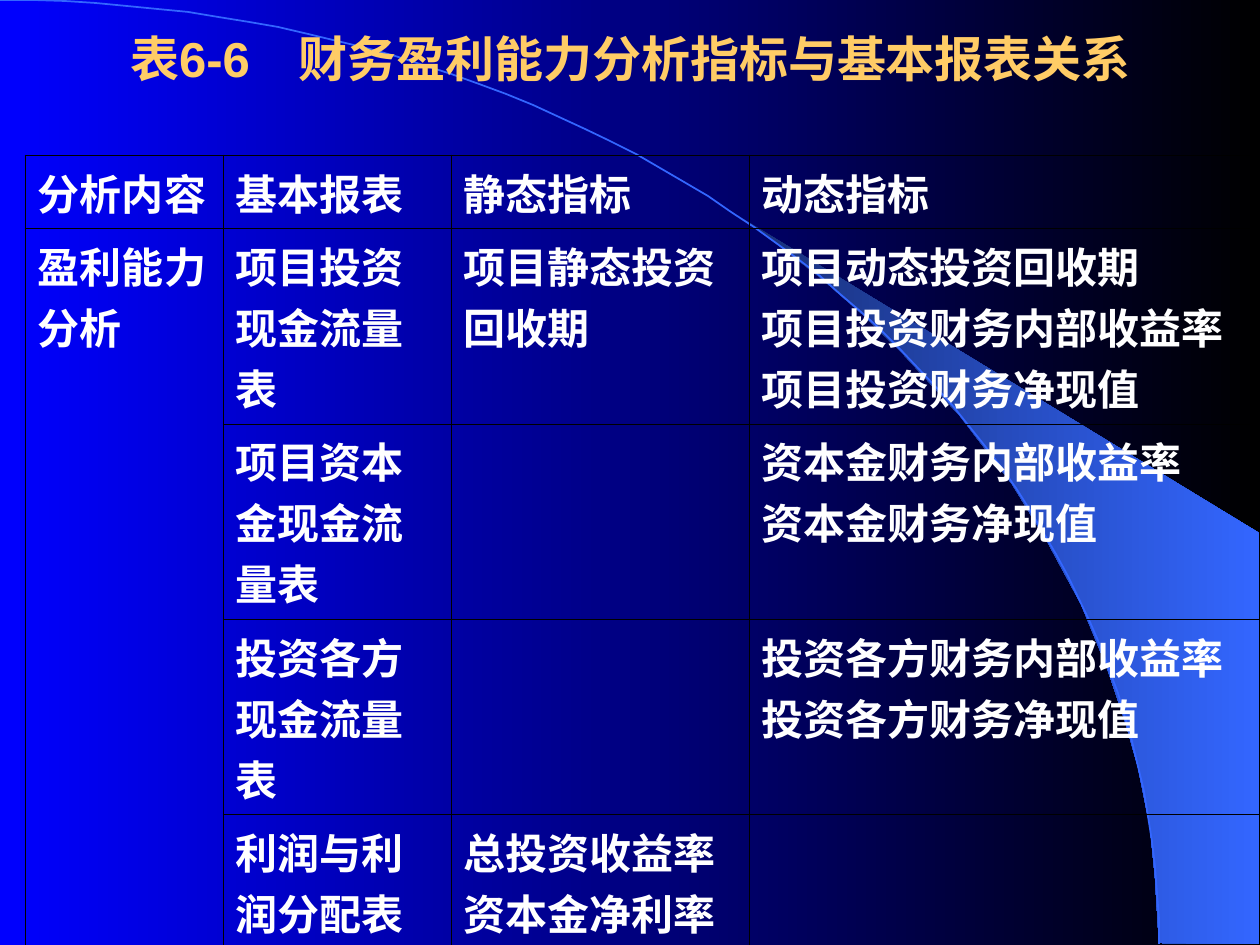
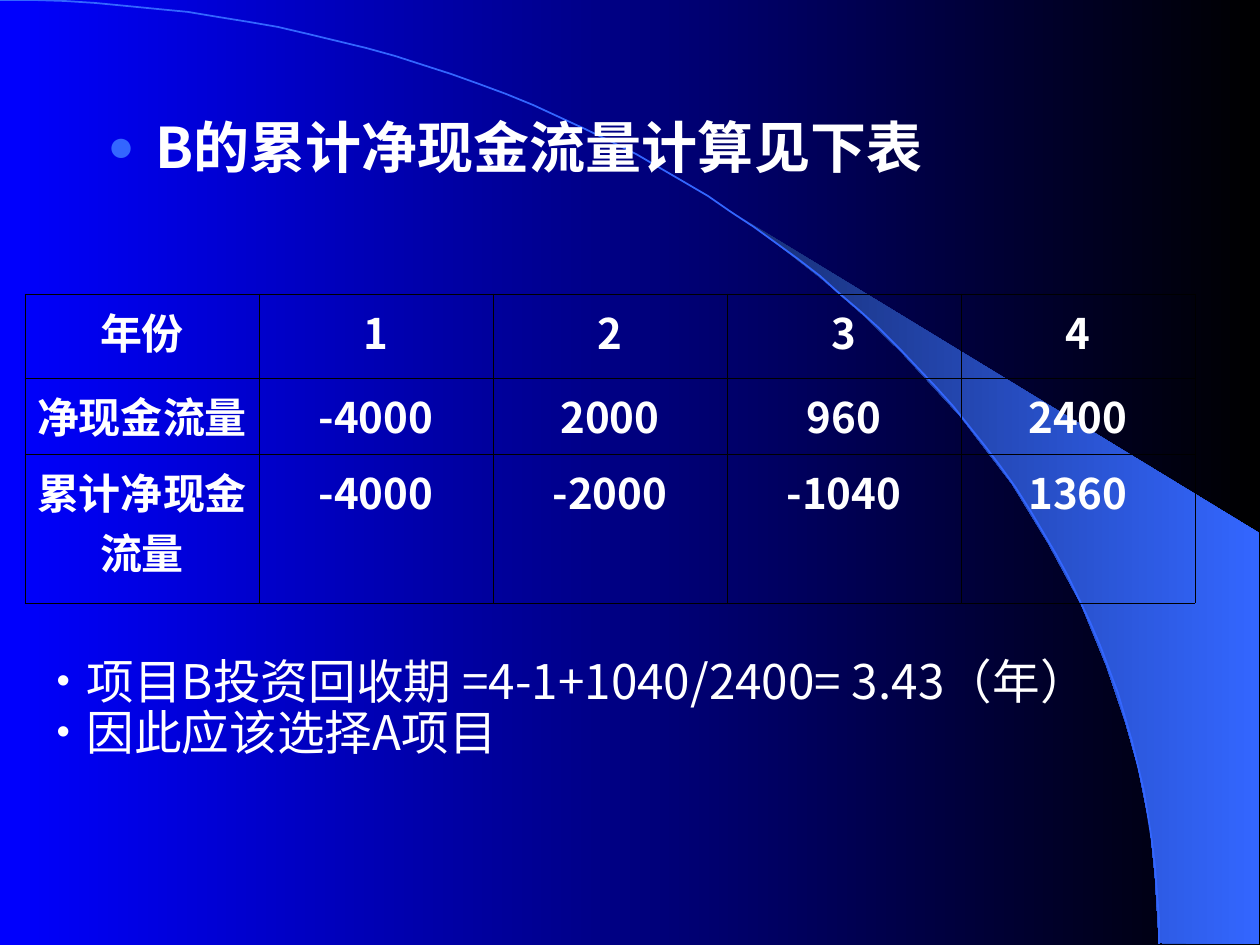
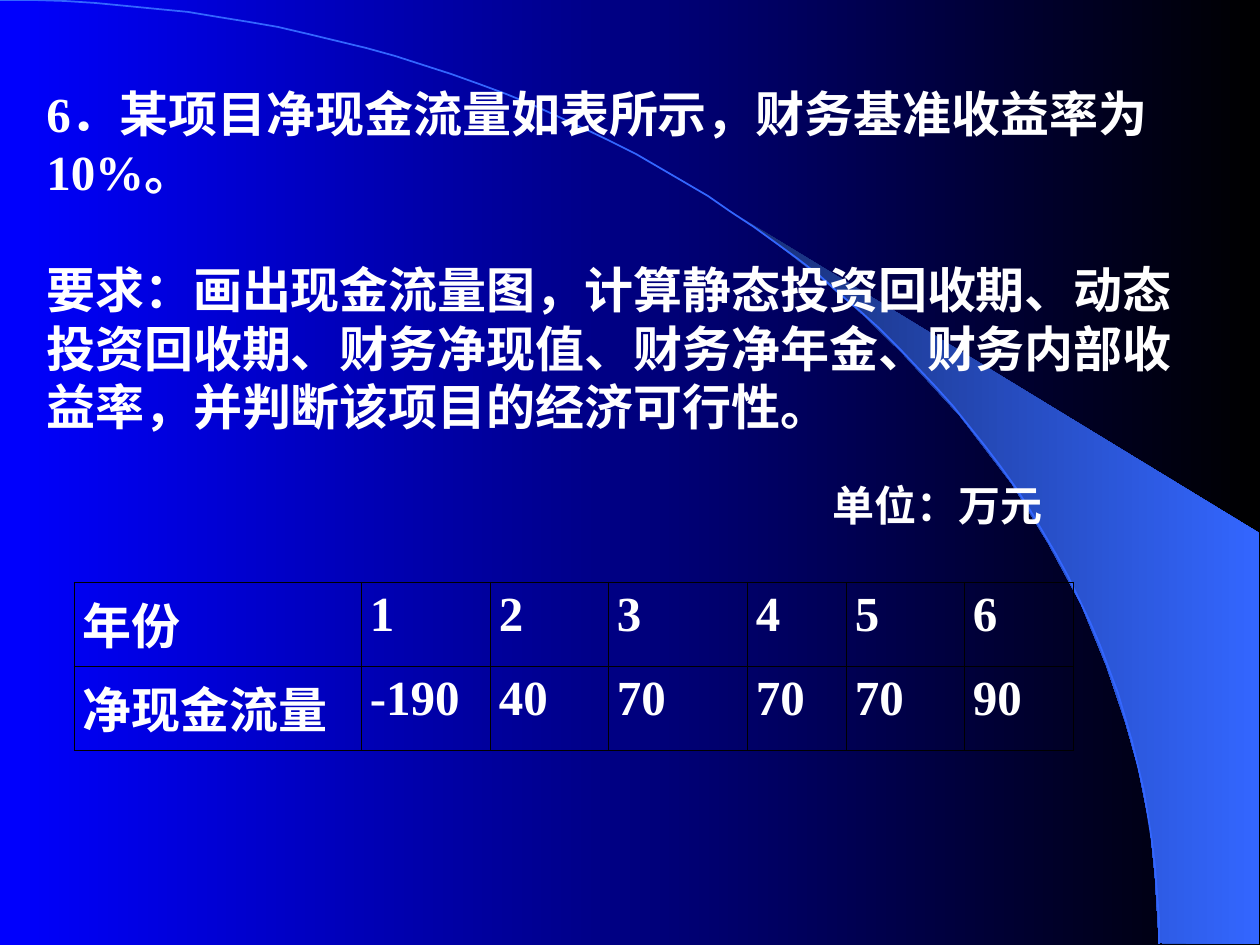
from dataclasses import dataclass

from lxml.etree import SubElement
from pptx import Presentation
from pptx.dml.color import RGBColor
from pptx.enum.text import MSO_ANCHOR, MSO_AUTO_SIZE, PP_ALIGN
from pptx.oxml.ns import qn
from pptx.util import Pt

UNIT = 914400 / 126
WIDE, HIGH = 1260, 945


@dataclass(frozen=True)
class Theme:
    blue: str = "0000FF"
    black: str = "000000"
    navy: str = "182F76"
    sky: str = "3366FF"
    gold: str = "FFCC66"
    white: str = "FFFFFF"
    sans: str = "Noto Sans CJK SC"
    serif: str = "Times New Roman"
    head: str = "Arial"
    lead: float = 1.2
    large: float = 32
    mid: float = 28
    list: float = 27.2
    small: float = 24
    rule: float = 0.45


T = Theme()
SWOOSH = [(1159, 943), (1259, 944), (1259, 533), (742, 218), (786, 251),
          (823, 280), (863, 315), (902, 353), (960, 416), (1012, 484),
          (1048, 543), (1081, 604), (1106, 665), (1125, 721), (1138, 767),
          (1150, 827), (1155, 877)]
ARC = [(0, 0), (640, 0), (1159, 422), (1159, 944)]


def px(num):
    return round(num * UNIT)


def rgb(code):
    return RGBColor.from_string(code)


def blend(fill, left, right):
    fill.gradient()
    fill.gradient_angle = 0
    for stop, code in zip(fill.gradient_stops, (left, right)):
        stop.color.rgb = rgb(code)


def curve(ends, steps=60):
    """Points along a cubic Bezier curve."""
    for step in range(steps + 1):
        t = step / steps
        parts = ((1 - t) ** 3, 3 * t * (1 - t) ** 2, 3 * t * t * (1 - t), t ** 3)
        yield tuple(sum(p * end[axis] for p, end in zip(parts, ends))
                    for axis in (0, 1))


def outline(slide, points, close):
    first, *rest = points
    pen = slide.shapes.build_freeform(*first, scale=UNIT)
    pen.add_line_segments(rest, close=close)
    shape = pen.convert_to_shape()
    shape.shadow.inherit = False
    return shape


def backdrop(deck, slide):
    """Draw the shared art on a slide, then move it to the master."""
    master = deck.slide_master
    blend(master.background.fill, T.blue, T.black)
    swoosh = outline(slide, SWOOSH, True)
    blend(swoosh.fill, T.navy, T.sky)
    swoosh.line.fill.background()
    arc = outline(slide, curve(ARC), False)
    arc.fill.background()
    arc.line.color.rgb = rgb(T.sky)
    arc.line.width = Pt(1)
    for spot, shape in enumerate((swoosh, arc), 2):
        master.shapes.element.insert(spot, shape.element)


def write(para, text, size, font, color=T.white, bold=True, align=PP_ALIGN.LEFT):
    para.alignment = align
    run = para.add_run()
    run.text = text
    run.font.size = Pt(size)
    run.font.name = font
    run.font.bold = bold
    run.font.color.rgb = rgb(color)
    SubElement(run.font._element, qn("a:ea"), typeface=T.sans)


def bullet(para, mark, color, indent):
    props = para._p.get_or_add_pPr()
    props.set("marL", str(px(indent)))
    props.set("indent", str(-px(indent)))
    tint = SubElement(props, qn("a:buClr"))
    SubElement(tint, qn("a:srgbClr"), val=color)
    SubElement(props, qn("a:buSzPct"), val="80000")
    SubElement(props, qn("a:buFont"), typeface=T.head)
    SubElement(props, qn("a:buChar"), char=mark)


def place(shape, left, top, width, height):
    shape.left, shape.top = px(left), px(top)
    shape.width, shape.height = px(width), px(height)


def fill_box(shape, lines, size, font, mark=None, tight=1, gap=0,
             anchor=MSO_ANCHOR.TOP, wrap=True, **look):
    """Write one paragraph per line; mark is (sign, colour, indent)."""
    frame = shape.text_frame
    frame.auto_size = MSO_AUTO_SIZE.NONE
    frame.word_wrap = wrap
    frame.vertical_anchor = anchor
    for num, line in enumerate(lines):
        para = frame.add_paragraph() if num else frame.paragraphs[0]
        if mark:
            bullet(para, *mark)
        para.line_spacing = Pt(size * T.lead * tight)
        para.space_before = Pt(gap if num else 0)
        write(para, line, size, font, **look)


def text_box(slide, area, lines, size, font, **look):
    box = slide.shapes.add_textbox(*map(px, area))
    fill_box(box, lines, size, font, **look)


def border(cell):
    props = cell._tc.get_or_add_tcPr()
    for side in ("lnL", "lnR", "lnT", "lnB"):
        line = SubElement(props, qn(f"a:{side}"), w=str(Pt(T.rule)))
        solid = SubElement(line, qn("a:solidFill"))
        SubElement(solid, qn("a:srgbClr"), val=T.black)


def grid(slide, left, top, cols, rows, data, size, font, inset, align):
    frame = slide.shapes.add_table(len(rows), len(cols), px(left), px(top),
                                   px(sum(cols)), px(sum(rows)))
    table = frame.table
    table.first_row = table.horz_banding = False
    for col, width in zip(table.columns, cols):
        col.width = px(width)
    for row, height, texts in zip(table.rows, rows, data):
        row.height = px(height)
        for cell, text in zip(row.cells, texts):
            border(cell)
            cell.fill.background()
            cell.margin_left = cell.margin_right = px(inset)
            for num, line in enumerate(text.split("\n") if text else ()):
                body = cell.text_frame
                para = body.add_paragraph() if num else body.paragraphs[0]
                write(para, line, size, font, align=align)
    return table


def ratios(slide):
    title = slide.shapes.title
    place(title, 95, 0, 1071, 115)
    fill_box(title, ["表6-6　财务盈利能力分析指标与基本报表关系"], T.mid, T.head,
             anchor=MSO_ANCHOR.MIDDLE, color=T.gold, align=PP_ALIGN.CENTER)
    data = [
        ("分析内容", "基本报表", "静态指标", "动态指标"),
        ("盈利能力分析", "项目投资现金流量表", "项目静态投资回收期",
         "项目动态投资回收期\n项目投资财务内部收益率\n项目投资财务净现值"),
        ("", "项目资本金现金流量表", "", "资本金财务内部收益率\n资本金财务净现值"),
        ("", "投资各方现金流量表", "", "投资各方财务内部收益率\n投资各方财务净现值"),
        ("", "利润与利润分配表", "总投资收益率\n资本金净利率", ""),
    ]
    table = grid(slide, 25, 155, (198, 228, 298, 511), (73, 195, 195, 195, 131),
                 data, T.small, T.serif, 13, PP_ALIGN.LEFT)
    table.cell(1, 0).merge(table.cell(4, 0))


def payback(slide):
    title = slide.shapes.title
    title.element.getparent().remove(title.element)
    head, notes = slide.placeholders
    place(head, 95, 106, 1071, 120)
    fill_box(head, ["B的累计净现金流量计算见下表"], T.large, T.sans,
             mark=("●", T.sky, 48))
    place(notes, 44, 651, 1216, 189)
    fill_box(notes, ["项目B投资回收期 =4-1+1040/2400= 3.43（年）", "因此应该选择A项目"],
             T.list, T.sans, mark=("•", T.white, 30), tight=0.9, bold=False)
    data = [("年份", "1", "2", "3", "4"),
            ("净现金流量", "-4000", "2000", "960", "2400"),
            ("累计净现金流量", "-4000", "-2000", "-1040", "1360")]
    grid(slide, 25, 294, (234,) * 5, (84, 76, 149), data, T.small, T.sans, 10,
         PP_ALIGN.CENTER)


def task(slide):
    data = [("年份", "1", "2", "3", "4", "5", "6"),
            ("净现金流量", "-190", "40", "70", "70", "70", "90")]
    grid(slide, 74, 582, (287, 129, 118, 139, 99, 118, 110), (84, 84), data,
         T.mid, T.serif, 9, PP_ALIGN.JUSTIFY)
    text_box(slide, (34, 77, 1160, 365),
             ["6．某项目净现金流量如表所示，财务基准收益率为10%。",
              "要求：画出现金流量图，计算静态投资回收期、动态投资回收期、财务净现值、"
              "财务净年金、财务内部收益率，并判断该项目的经济可行性。"],
             T.mid, T.serif, gap=T.mid * T.lead, anchor=MSO_ANCHOR.MIDDLE)
    text_box(slide, (820, 473, 244, 63), ["单位：万元"], T.small, T.serif, wrap=False)


def main():
    deck = Presentation()
    deck.slide_width, deck.slide_height = px(WIDE), px(HIGH)
    pages = [(5, ratios), (3, payback), (6, task)]
    for layout, draw in pages:
        slide = deck.slides.add_slide(deck.slide_layouts[layout])
        if draw is ratios:
            backdrop(deck, slide)
        draw(slide)
    deck.save("out.pptx")


if __name__ == "__main__":
    main()
